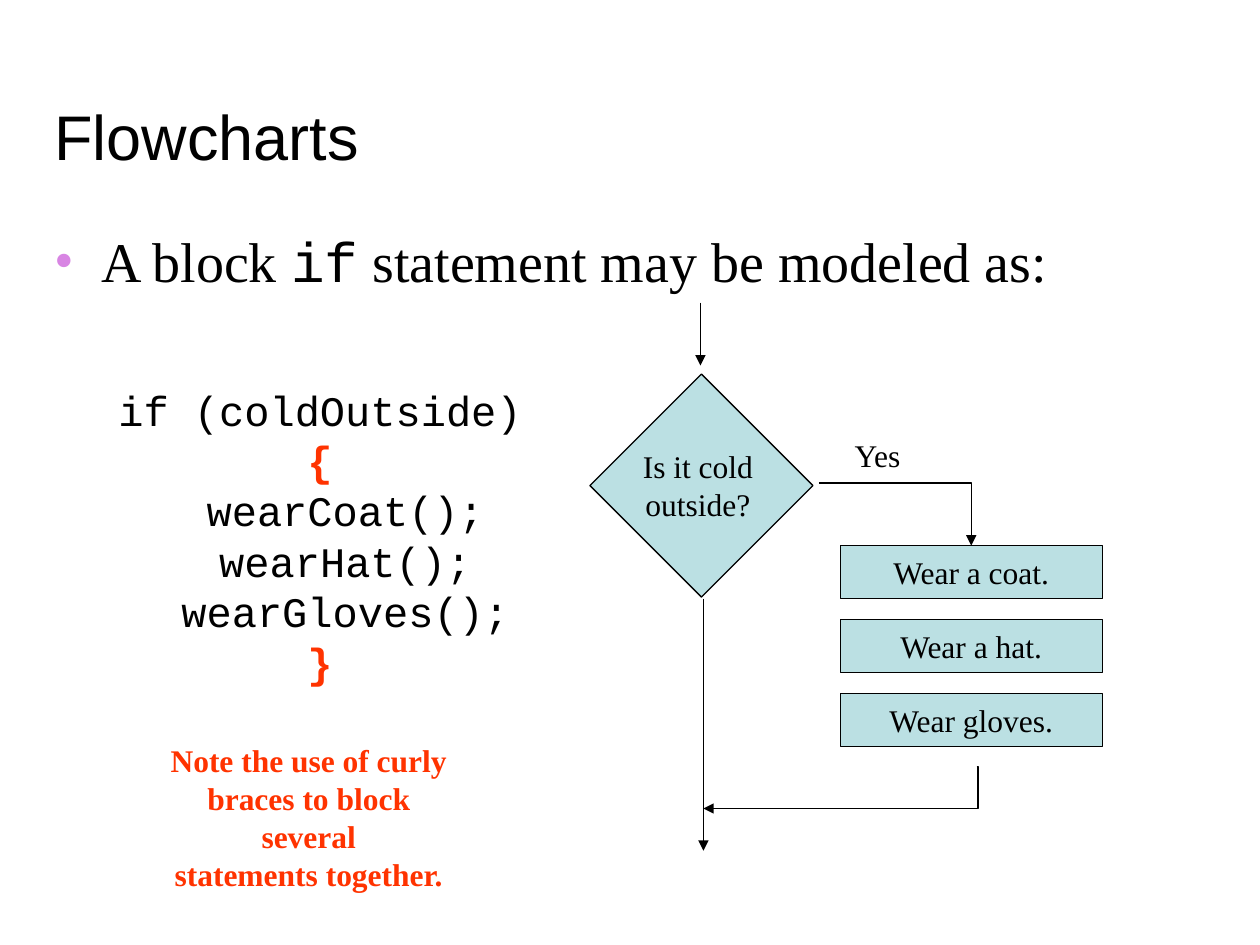
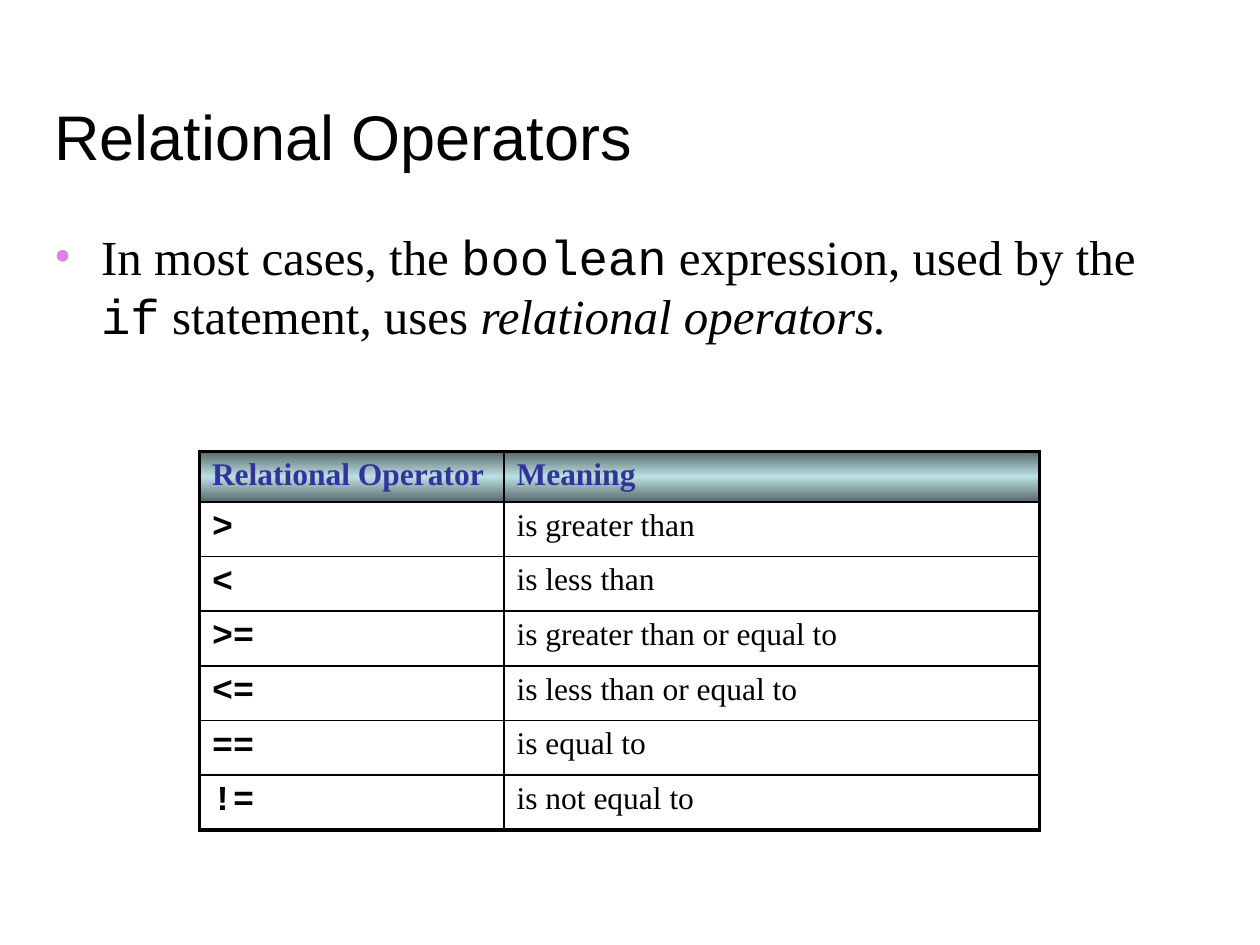
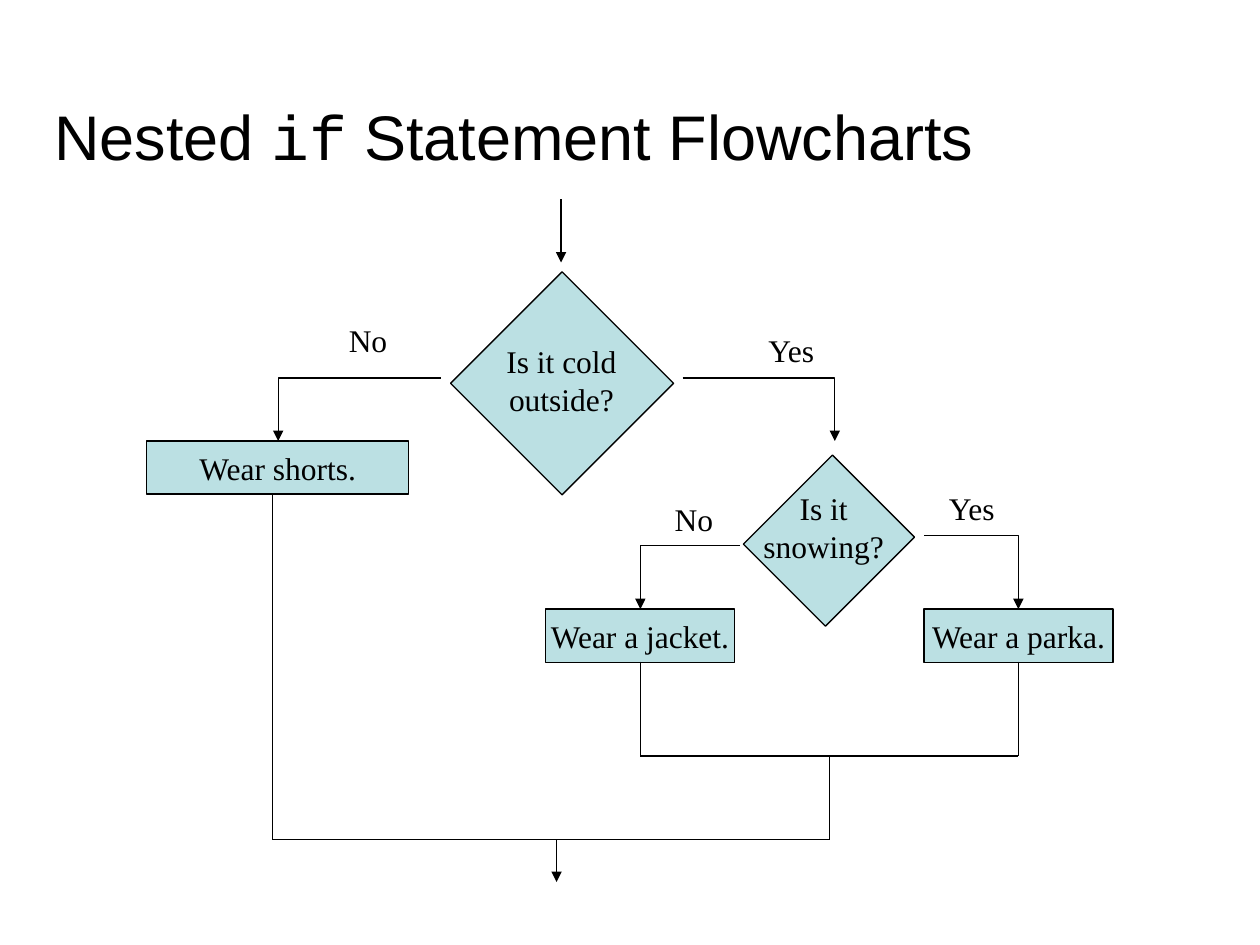
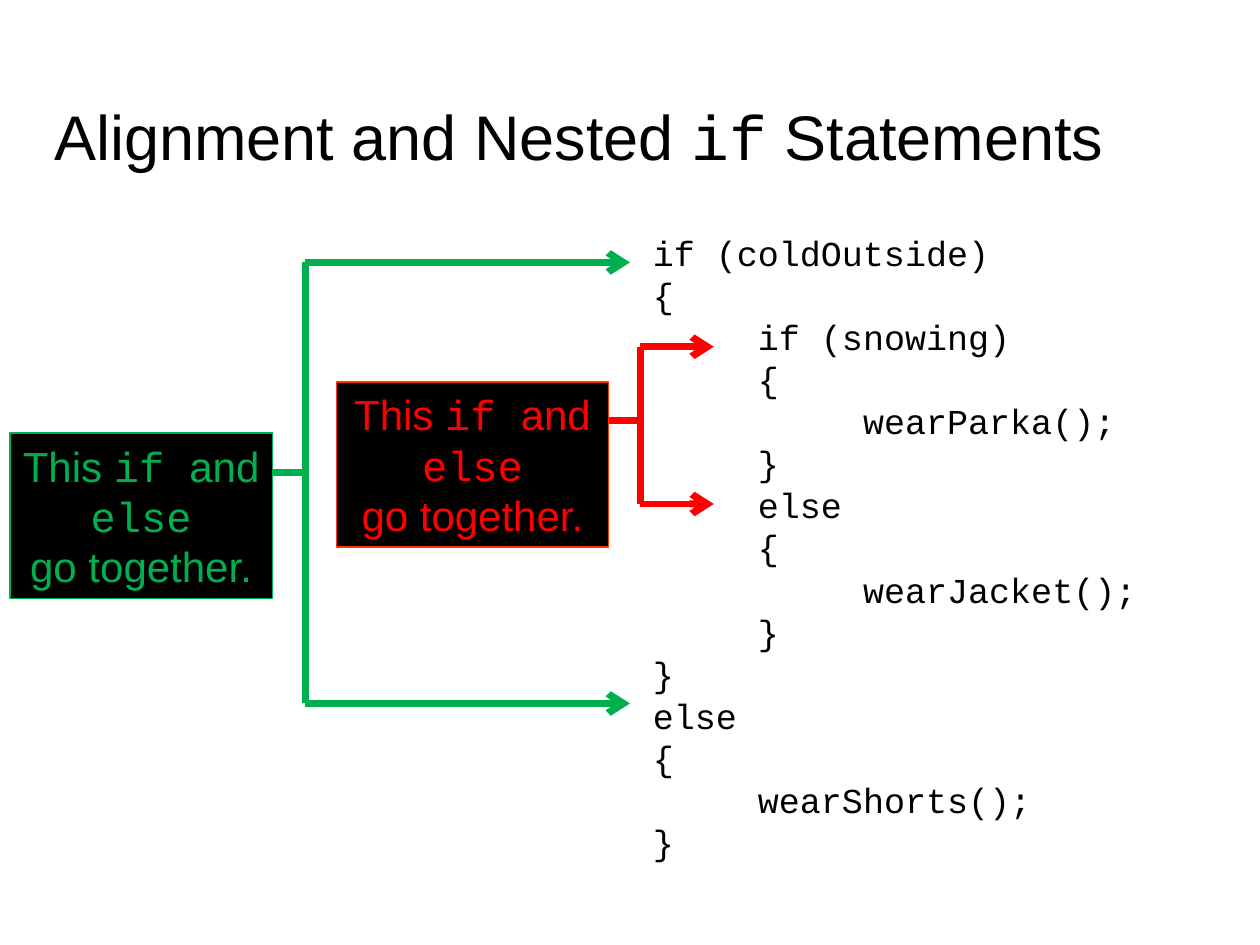
import pptx
import pptx.util
import pptx.dml.color
import pptx.enum.shapes
import pptx.enum.text
import pptx.oxml.ns
from lxml import etree

Cm, Pt = pptx.util.Cm, pptx.util.Pt
Kind = pptx.enum.shapes.MSO_CONNECTOR
Form = pptx.enum.shapes.MSO_SHAPE
Fit = pptx.enum.text.MSO_AUTO_SIZE
Anchor = pptx.enum.text.MSO_ANCHOR
Align = pptx.enum.text.PP_ALIGN

BLACK, TEAL, SHADE, NAVY = "000000", "BBE0E3", "576869", "333399"
ORANGE, RED, GREEN, BULLET = "FF3300", "FF0000", "00B050", "D885E3"
SERIF, SANS, MONO = "Times New Roman", "Arial", "Courier New"

TEXT = {"font": SERIF, "size": 18, "color": BLACK, "bold": False,
        "align": Align.LEFT, "indent": 0}
LABEL = TEXT | {"align": Align.CENTER}
TITLE = TEXT | {"font": SANS, "size": 36}
CODE = TEXT | {"font": MONO, "size": 20}
NOTE = LABEL | {"color": ORANGE, "bold": True}
BRACE = {"color": ORANGE, "bold": True}
FREE = {"word_wrap": False, "auto_size": Fit.SHAPE_TO_FIT_TEXT}
WRAP = FREE | {"word_wrap": True}

RULES = [
    (">", "is greater than"),
    ("<", "is less than"),
    (">=", "is greater than or equal to"),
    ("<=", "is less than or equal to"),
    ("==", "is equal to"),
    ("!=", "is not equal to"),
]
NESTED = [
    (0, "if (coldOutside)"), (0, "{"),
    (1, "if (snowing)"), (1, "{"), (2, "wearParka();"), (1, "}"),
    (1, "else"), (1, "{"), (2, "wearJacket();"), (1, "}"),
    (0, "}"), (0, "else"), (0, "{"), (1, "wearShorts();"), (0, "}"),
]


def rgb(code):
    return pptx.dml.color.RGBColor.from_string(code)


def put(item, values):
    for name, value in values.items():
        setattr(item, name, value)


def node(parent, tag, **attrs):
    child = etree.SubElement(parent, pptx.oxml.ns.qn("a:" + tag))
    for name, value in attrs.items():
        child.set(name, str(value))
    return child


def place(item, box):
    put(item, dict(zip(("left", "top", "width", "height"), map(Cm, box))))


def add_run(para, text, style, font, slant):
    run = para.add_run()
    run.text = text
    put(run.font, {"name": font, "size": Pt(style["size"]),
                   "bold": style["bold"], "italic": slant})
    run.font.color.rgb = rgb(style["color"])


def write(frame, lines, base):
    for num, line in enumerate(lines):
        text, extra = (line, {}) if isinstance(line, str) else line
        style = base | extra
        para = frame.add_paragraph() if num else frame.paragraphs[0]
        para.alignment = style["align"]
        if style["indent"]:
            para._p.get_or_add_pPr().set("marL", str(Cm(style["indent"])))
        for odd, part in enumerate(text.split("`")):
            font = MONO if odd % 2 else style["font"]
            for slant, bit in enumerate(part.split("*")):
                if bit:
                    add_run(para, bit, style, font, slant % 2 == 1)


def new_slide(deck, title):
    slide = deck.slides.add_slide(deck.slide_layouts[5])
    head = slide.shapes.title
    place(head, (0.84, 0.84, 23.93, 2.77))
    put(head.text_frame, {"vertical_anchor": Anchor.BOTTOM,
                          "word_wrap": True, "auto_size": Fit.NONE})
    write(head.text_frame, [title], TITLE)
    return slide


def label(slide, lines, box, style=LABEL, form=FREE):
    frame = slide.shapes.add_textbox(*map(Cm, box)).text_frame
    put(frame, form)
    write(frame, lines, style)
    return frame


def point(slide, text, size, height):
    form = {"word_wrap": True, "margin_right": 0}
    frame = label(slide, [text], (0.84, 4.45, 23.04, height),
                  TEXT | {"size": size}, form)
    para = frame.paragraphs[0]
    para.space_before = Pt(size * 0.2)
    props = para._p.get_or_add_pPr()
    put_in = {"marL": Cm(0.95), "indent": -Cm(0.95)}
    for name, value in put_in.items():
        props.set(name, str(value))
    node(node(props, "buClr"), "srgbClr", val=BULLET)
    node(props, "buFont", typeface=SERIF)
    node(props, "buChar", char="•")


def block(slide, box, fill=TEAL, line=BLACK):
    shape = slide.shapes.add_shape(Form.RECTANGLE, *map(Cm, box))
    shape.shadow.inherit = False
    shape.fill.solid()
    shape.fill.fore_color.rgb = rgb(fill)
    shape.line.color.rgb = rgb(line)
    shape.line.width = Pt(0.75)
    return shape


def step(slide, text, box):
    frame = block(slide, box).text_frame
    put(frame, {"word_wrap": False, "vertical_anchor": Anchor.MIDDLE})
    write(frame, [text], LABEL)


def ask(slide, lines, box, spot):
    block(slide, box).rotation = 45
    label(slide, lines, spot)


def link(slide, ends, tip=None, kind=Kind.STRAIGHT, color=BLACK, width=0.75):
    line = slide.shapes.add_connector(kind, *map(Cm, ends))
    line.line.color.rgb = rgb(color)
    line.line.width = Pt(width)
    if tip:
        node(line.line._get_or_add_ln(), "tailEnd", type=tip)
    props = line._element.spPr
    node(props, "effectLst")
    return props.find(pptx.oxml.ns.qn("a:prstGeom"))


def arrow(slide, *ends):
    link(slide, ends, "triangle")


def bend(slide, *ends):
    link(slide, ends, "triangle", Kind.ELBOW).set("prst", "bentConnector2")


def merge(slide, *ends):
    geom = link(slide, ends, "triangle", Kind.ELBOW)
    for old in list(geom):
        geom.remove(old)
    node(node(geom, "avLst"), "gd", name="adj1", fmla="val -500")


def pair(slide, color, edge, box, stem, tip, start, level):
    x, top, low = stem
    pen = {"color": color, "width": 4}
    for y in (top, low):
        link(slide, (x, y, tip, y), "arrow", **pen)
    link(slide, (x, top, x, low), **pen)
    link(slide, (x, level, start, level), **pen)
    frame = block(slide, box, BLACK, edge).text_frame
    put(frame, WRAP)
    write(frame, ["This `if `and `else`", "go together."],
          LABEL | {"font": SANS, "size": 24, "color": color})


def border(cell, row, col, last):
    props = cell._tc.get_or_add_tcPr()
    outer = {"lnL": col == 0, "lnR": col == 1,
             "lnT": row == 0, "lnB": row == last}
    for tag, thick in outer.items():
        line = node(props, tag, w=Pt(2.25 if thick else 1))
        node(node(line, "solidFill"), "srgbClr", val=BLACK)


def shade(cell):
    grad = node(cell._tc.get_or_add_tcPr(), "gradFill", rotWithShape=1)
    stops = node(grad, "gsLst")
    for pos, color in ((0, SHADE), (50000, TEAL), (100000, SHADE)):
        node(node(stops, "gs", pos=pos), "srgbClr", val=color)
    node(grad, "lin", ang=5400000, scaled=1)


def grid(slide, heads, rows):
    cells = [heads] + rows
    last = len(rows)
    table = slide.shapes.add_table(len(cells), 2, Cm(4.02), Cm(9.1),
                                   Cm(16.94), Cm(7.27)).table
    put(table, {"first_row": False, "horz_banding": False})
    for col, width in zip(table.columns, (6.14, 10.8)):
        col.width = Cm(width)
    looks = (TEXT | {"font": MONO, "size": 20, "bold": True}, TEXT)
    top = TEXT | {"color": NAVY, "bold": True}
    for r, texts in enumerate(cells):
        table.rows[r].height = Cm(1.05 if r else 0.97)
        for c, text in enumerate(texts):
            cell = table.cell(r, c)
            border(cell, r, c, last)
            if r:
                cell.fill.background()
            else:
                shade(cell)
            write(cell.text_frame, [text], looks[c] if r else top)


def flow_slide(deck):
    slide = new_slide(deck, "Flowcharts")
    point(slide, "A block `if` statement may be modeled as:", 32, 2.87)
    ask(slide, ["Is it cold", "outside?"], (12.55, 8.2, 3.18, 3.18),
        (12.7, 8.89, 2.74, 1.78))
    for num, wear in enumerate(("a coat", "a hat", "gloves")):
        step(slide, f"Wear {wear}.", (16.94, 11 + 1.49 * num, 5.28, 1.07))
    bend(slide, 16.51, 9.74, 19.58, 11)
    label(slide, ["Yes"], (16.94, 8.66, 1.5, 1.02))
    arrow(slide, 14.18, 12.07, 14.18, 17.15)
    merge(slide, 19.69, 15.45, 14.18, 16.3)
    arrow(slide, 14.12, 6.1, 14.12, 7.37)
    calls = [(f"wear{wear}();", {"indent": 1.02})
             for wear in ("Coat", "Hat", "Gloves")]
    label(slide, ["if (coldOutside)", ("{", BRACE), *calls, ("}", BRACE)],
          (1.9, 7.62, 9.1, 6.35), LABEL | {"font": MONO, "size": 24}, WRAP)
    label(slide, ["Note the use of curly", "braces to block several",
                  "statements together."], (2.9, 14.82, 6.65, 2.54), NOTE)


def table_slide(deck):
    slide = new_slide(deck, "Relational Operators")
    point(slide, "In most cases, the `boolean` expression, used by the "
          "`if` statement, uses *relational operators.*", 28, 3.38)
    grid(slide, ("Relational Operator", "Meaning"), RULES)


def nest_slide(deck):
    slide = new_slide(deck, "Nested `if` Statement Flowcharts")
    ask(slide, ["Is it cold", "outside?"], (9.74, 6.14, 3.18, 3.18),
        (9.95, 6.77, 2.74, 1.78))
    ask(slide, ["Is it", "snowing?"], (15.54, 9.63, 2.34, 2.54),
        (15.13, 9.74, 2.95, 1.78))
    for wear, x, y, width in (("shorts", 2.96, 8.89, 5.28),
                              ("a jacket", 11, 12.28, 3.81),
                              ("a parka", 18.63, 12.28, 3.81)):
        step(slide, f"Wear {wear}.", (x, y, width, 1.07))
    for text, x, y, width in (("No", 6.77, 6.35, 1.3),
                              ("Yes", 15.2, 6.55, 1.5),
                              ("No", 13.34, 9.95, 1.3),
                              ("Yes", 18.84, 9.74, 1.5)):
        label(slide, [text], (x, y, width, 1.02))
    for ends in ((13.76, 7.62, 16.83, 8.89), (8.89, 7.62, 5.61, 8.89),
                 (14.92, 11, 12.91, 12.28), (18.63, 10.8, 20.53, 12.28)):
        bend(slide, *ends)
    for ends in ((5.5, 9.95, 5.5, 16.93), (12.91, 15.24, 20.53, 15.24),
                 (20.53, 13.34, 20.53, 15.24), (12.91, 13.34, 12.91, 15.24),
                 (5.5, 16.93, 16.72, 16.93), (16.72, 15.24, 16.72, 16.93)):
        link(slide, ends)
    arrow(slide, 11.31, 4.02, 11.31, 5.29)
    arrow(slide, 11.22, 16.93, 11.22, 17.78)


def align_slide(deck):
    slide = new_slide(deck, "Alignment and Nested `if` Statements")
    lines = [(text, {"indent": 2.12 * depth}) for depth, text in NESTED]
    label(slide, lines, (12.91, 4.55, 11.64, 13.4), CODE, WRAP)
    pair(slide, RED, ORANGE, (6.78, 7.7, 5.49, 3.33),
         (12.91, 6.99, 10.16), 14.39, 11.22, 8.47)
    pair(slide, GREEN, GREEN, (0.2, 8.73, 5.29, 3.33),
         (6.15, 5.29, 14.18), 12.7, 4.45, 9.53)


def main():
    deck = pptx.Presentation()
    put(deck, {"slide_width": Cm(25.4), "slide_height": Cm(19.05)})
    for build in (flow_slide, table_slide, nest_slide, align_slide):
        build(deck)
    deck.save("out.pptx")


if __name__ == "__main__":
    main()
